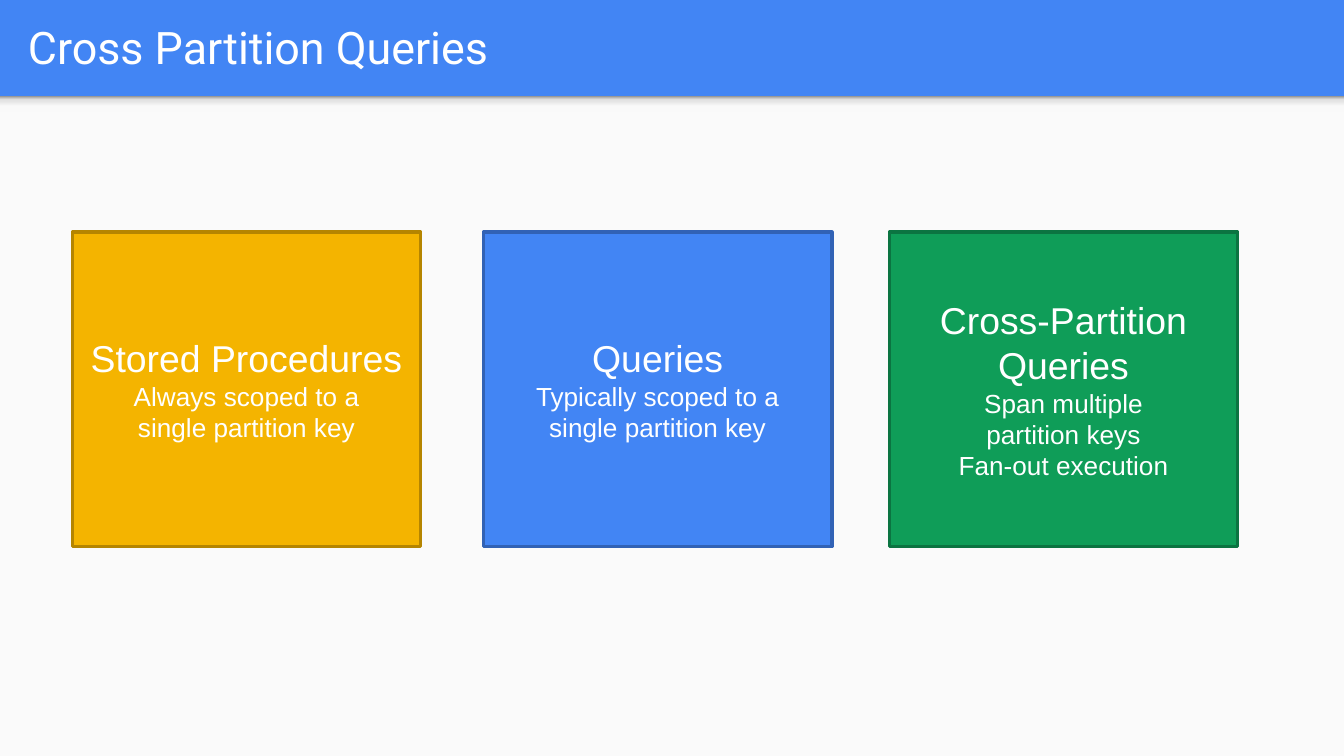
from copy import deepcopy
from dataclasses import dataclass

from pptx import Presentation
from pptx.dml.color import RGBColor
from pptx.enum.shapes import MSO_SHAPE
from pptx.enum.text import MSO_ANCHOR, PP_ALIGN
from pptx.util import Cm, Pt

RECTANGLE = MSO_SHAPE.RECTANGLE
MIDDLE = MSO_ANCHOR.MIDDLE
CENTER = PP_ALIGN.CENTER


@dataclass(frozen=True)
class Theme:
    blue: str = "4285F4"
    paper: str = "FAFAFA"
    white: str = "FFFFFF"
    # (position, colour) from the lower edge of the shadow to the upper
    shade: tuple = ((0, "F9F9F9"), (0.36, "F9F9F9"), (0.8, "DEDEDE"), (1, "999999"))
    title_font: str = "Roboto"
    body_font: str = "Arial"
    title_size: int = 24
    heading_size: int = 20
    detail_size: int = 14
    border: int = 2


THEME = Theme()

SLIDE_WIDTH, SLIDE_HEIGHT = 25.4, 14.29
HEADER_HEIGHT = 1.82
CARD_TOP, CARD_WIDTH, CARD_HEIGHT = 4.39, 6.58, 5.94

# left edge, fill, border, heading lines, detail lines
CARDS = [
    (1.37, "F4B400", "B58500", ["Stored Procedures"],
     ["Always scoped to a", "single partition key"]),
    (9.14, THEME.blue, "3162B5", ["Queries"],
     ["Typically scoped to a", "single partition key"]),
    (16.81, "0F9D58", "0B7441", ["Cross-Partition", "Queries"],
     ["Span multiple", "partition keys", "Fan-out execution"]),
]


def rgb(value):
    return RGBColor.from_string(value)


def add_rectangle(slide, box):
    rectangle = slide.shapes.add_shape(RECTANGLE, *map(Cm, box))
    rectangle.shadow.inherit = False
    rectangle.line.fill.background()
    return rectangle


def style(paragraph, font_name, size):
    paragraph.font.name = font_name
    paragraph.font.size = Pt(size)
    paragraph.font.color.rgb = rgb(THEME.white)


def add_body(slide, box):
    """Light page area with a soft shadow along its upper edge."""
    left, top, width, _ = box
    page = add_rectangle(slide, box)
    page.fill.solid()
    page.fill.fore_color.rgb = rgb(THEME.paper)

    shadow = add_rectangle(slide, (left, top, width, 0.3))
    shadow.fill.gradient()
    shadow.fill.gradient_angle = 90
    # A new gradient has two stops; extend the list to match the theme
    first_stop = shadow.fill.gradient_stops[0]
    stop_list = shadow.element.spPr.gradFill.gsLst
    template = deepcopy(stop_list[0])
    for _ in range(len(THEME.shade) - len(stop_list)):
        stop_list.append(deepcopy(template))
    for stop, (position, colour) in zip(shadow.fill.gradient_stops, THEME.shade):
        stop.position = position
        stop.color.rgb = rgb(colour)


def add_title(slide, box, text):
    frame = slide.shapes.add_textbox(*map(Cm, box)).text_frame
    frame.word_wrap = True
    frame.vertical_anchor = MIDDLE
    frame.margin_left = frame.margin_right = Cm(0.25)
    frame.margin_top = frame.margin_bottom = Cm(0.25)
    title = frame.paragraphs[0]
    title.text = text
    style(title, THEME.title_font, THEME.title_size)


def add_card(slide, box, fill, border, heading, details):
    card = add_rectangle(slide, box)
    card.fill.solid()
    card.fill.fore_color.rgb = rgb(fill)
    card.line.color.rgb = rgb(border)
    card.line.width = Pt(THEME.border)

    frame = card.text_frame
    frame.word_wrap = True
    frame.vertical_anchor = MIDDLE
    frame.text = "\n".join(heading + details)
    for index, line in enumerate(frame.paragraphs):
        line.alignment = CENTER
        size = THEME.heading_size if index < len(heading) else THEME.detail_size
        style(line, THEME.body_font, size)


def main():
    presentation = Presentation()
    presentation.slide_width = Cm(SLIDE_WIDTH)
    presentation.slide_height = Cm(SLIDE_HEIGHT)
    slide = presentation.slides.add_slide(presentation.slide_layouts[6])

    # Blue background shows as the header band above the page area
    slide.background.fill.solid()
    slide.background.fill.fore_color.rgb = rgb(THEME.blue)
    add_body(slide, (0, HEADER_HEIGHT, SLIDE_WIDTH, SLIDE_HEIGHT - HEADER_HEIGHT))
    add_title(slide, (0.28, 0.05, 24.51, 1.68), "Cross Partition Queries")

    # Cards
    for left, *content in CARDS:
        add_card(slide, (left, CARD_TOP, CARD_WIDTH, CARD_HEIGHT), *content)

    presentation.save("out.pptx")


if __name__ == "__main__":
    main()
